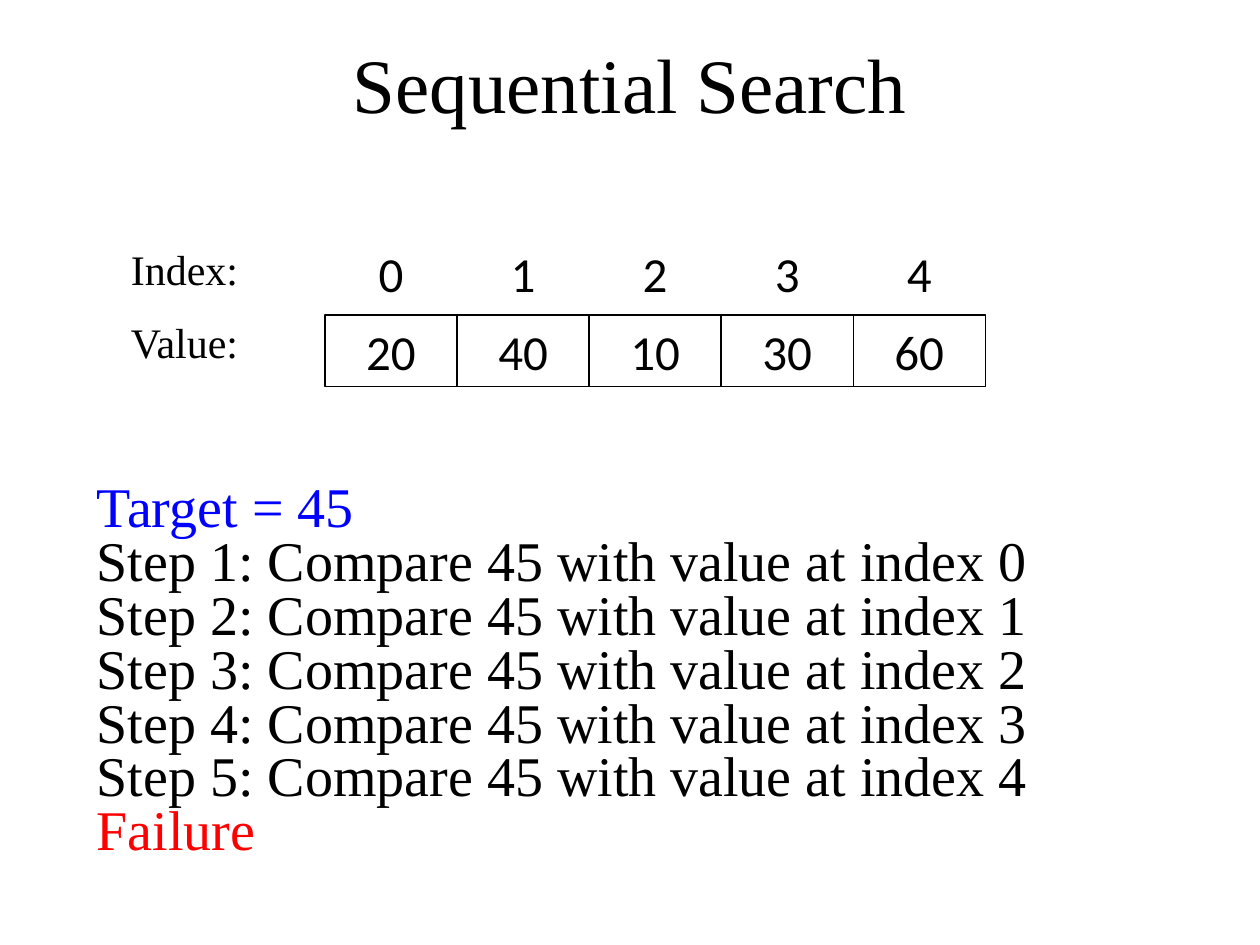
import pptx
import pptx.util
import pptx.dml.color
import pptx.enum.shapes
import pptx.enum.text

Inches = pptx.util.Inches
Align = pptx.enum.text.PP_ALIGN
Anchor = pptx.enum.text.MSO_ANCHOR
SERIF, SANS = "Times New Roman", "Calibri"


def color(code):
    return pptx.dml.color.RGBColor.from_string(code)


def style(frame, text, size, face, align=Align.LEFT, anchor=Anchor.TOP):
    frame.text = text
    frame.word_wrap = True
    frame.vertical_anchor = anchor
    for para in frame.paragraphs:
        para.alignment = align
        for run in para.runs:
            run.font.size = pptx.util.Pt(size)
            run.font.name = face
            run.font.color.rgb = color("000000")


deck = pptx.Presentation()
deck.slide_width, deck.slide_height = Inches(10), Inches(7.5)
slide = deck.slides.add_slide(deck.slide_layouts[5])
shapes = slide.shapes

# Title
title = shapes.title
title.left, title.top = Inches(0.75), Inches(0.16)
title.width, title.height = Inches(8.5), Inches(0.99)
style(title.text_frame, "Sequential Search", 44, SERIF, Align.CENTER, Anchor.MIDDLE)

# Array: one column per item, indexes above boxed values
left, wide, high = 2.58, 5.24 / 5, 0.57
tops = {"Index:": 1.88, "Value:": 2.5}
for index, value in enumerate([20, 40, 10, 30, 60]):
    x = Inches(left + index * wide)
    cell = shapes.add_shape(pptx.enum.shapes.MSO_SHAPE.RECTANGLE, x,
                            Inches(tops["Value:"]), Inches(wide), Inches(high))
    cell.shadow.inherit = False
    cell.fill.background()
    cell.line.color.rgb = color("000000")
    cell.line.width = pptx.util.Pt(0.75)
    style(cell.text_frame, str(value), 28, SANS, Align.CENTER)
    head = shapes.add_textbox(x, Inches(tops["Index:"]), Inches(wide), Inches(high))
    style(head.text_frame, str(index), 28, SANS, Align.CENTER)

# Row labels
for row, name in enumerate(tops):
    label = shapes.add_textbox(Inches(0.94), Inches(1.88 + row * 0.58),
                               Inches(1.41), Inches(0.5))
    style(label.text_frame, name, 24, SERIF)

# Search steps
steps = [f"Step {n + 1}: Compare 45 with value at index {n}" for n in range(5)]
lines = ["Target = 45", *steps, "Failure"]
body = shapes.add_textbox(Inches(0.67), Inches(3.8), Inches(8.75), Inches(3.1))
style(body.text_frame, "\n".join(lines), 32, SERIF)
paras = body.text_frame.paragraphs
for para in paras:
    para.line_spacing = 0.8
paras[0].runs[0].font.color.rgb = color("0000FF")
paras[-1].runs[0].font.color.rgb = color("FF0000")

deck.save("out.pptx")
